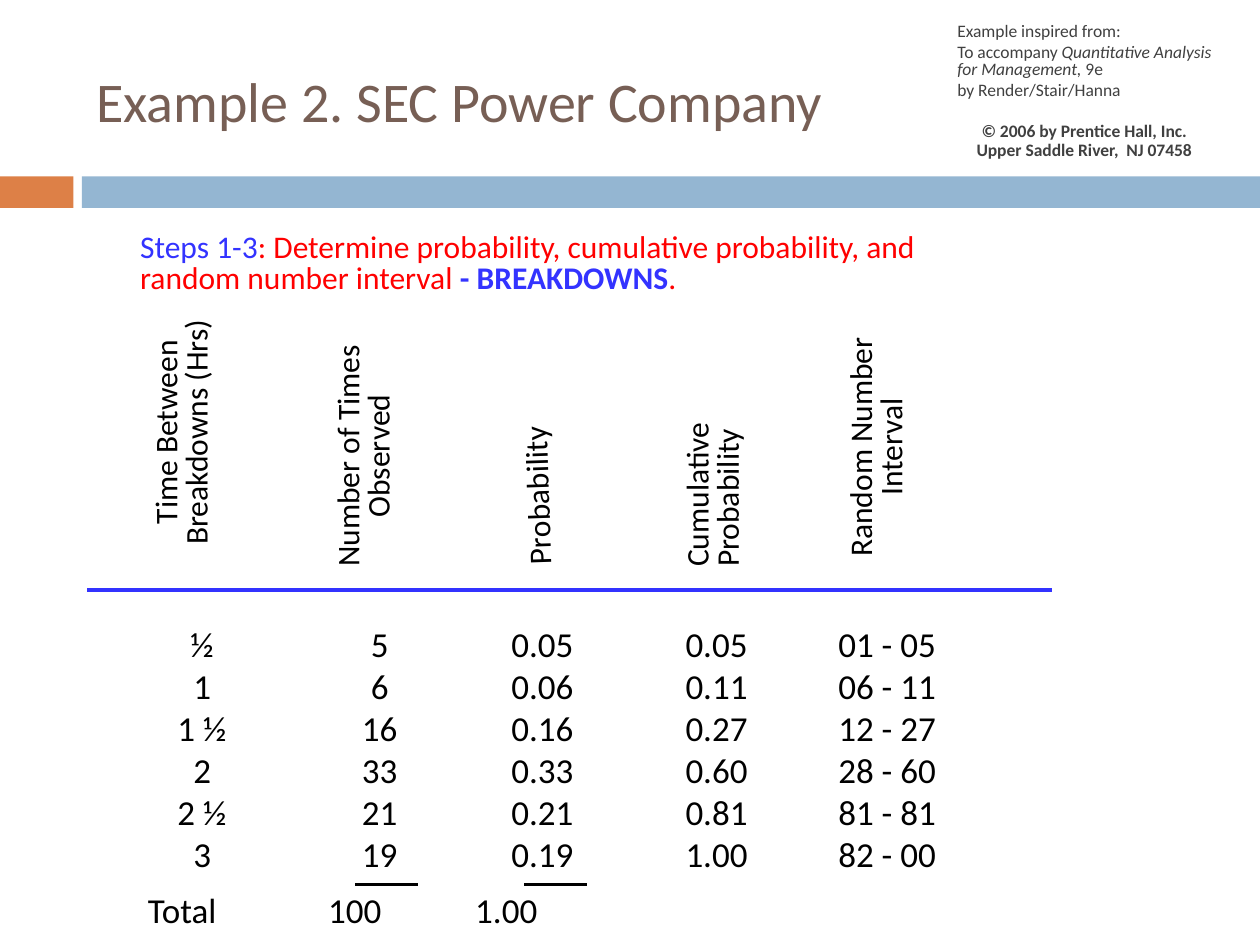
import dataclasses
import itertools

import pptx
import pptx.dml.color
import pptx.enum.shapes
import pptx.enum.text
import pptx.oxml.ns
import pptx.util
from lxml import etree

Pt = pptx.util.Pt
ALIGN = pptx.enum.text.PP_ALIGN
ANCHOR = pptx.enum.text.MSO_ANCHOR


@dataclasses.dataclass(frozen=True)
class Theme:
    font: str = "Calibri"
    orange: str = "DD8047"
    sky: str = "94B6D2"
    brown: str = "775F55"
    gray: str = "404040"
    black: str = "000000"
    blue: str = "3333FF"
    red: str = "FF0000"
    title: int = 32
    cell: int = 20
    body: int = 18
    note: int = 10


class SlideBuilder:
    def __init__(self, slide, theme):
        self.slide = slide
        self.theme = theme

    def color(self, value):
        return pptx.dml.color.RGBColor.from_string(value)

    def bar(self, left, top, width, height, fill):
        shape = self.slide.shapes.add_shape(
            pptx.enum.shapes.MSO_SHAPE.RECTANGLE, Pt(left), Pt(top), Pt(width), Pt(height))
        shape.shadow.inherit = False
        shape.fill.solid()
        shape.fill.fore_color.rgb = self.color(fill)
        shape.line.fill.background()

    def line(self, left, right, y, color, weight):
        connector = self.slide.shapes.add_connector(
            pptx.enum.shapes.MSO_CONNECTOR.STRAIGHT, Pt(left), Pt(y), Pt(right), Pt(y))
        connector.line.color.rgb = self.color(color)
        connector.line.width = Pt(weight)
        etree.SubElement(connector._element.spPr, pptx.oxml.ns.qn("a:effectLst"))

    def paragraph(self, para, runs, size, color, align=ALIGN.LEFT, spacing=0.8, tabs=()):
        if tabs:
            tab_list = etree.SubElement(
                para._p.get_or_add_pPr(), pptx.oxml.ns.qn("a:tabLst"))
            for stop in tabs:
                etree.SubElement(tab_list, pptx.oxml.ns.qn("a:tab"),
                                 pos=str(Pt(stop)), algn="l")
        para.alignment = align
        para.line_spacing = spacing
        for text, style in runs:
            span = para.add_run()
            span.text = text
            span.font.name = self.theme.font
            span.font.size = Pt(size)
            span.font.color.rgb = self.color(style.get("color", color))
            span.font.bold = style.get("bold", False)
            span.font.italic = style.get("italic", False)

    def text(self, frame, paragraphs, size, color, anchor=ANCHOR.TOP,
             rotation=0, gap=0, **layout):
        box = self.slide.shapes.add_textbox(*(Pt(length) for length in frame))
        box.rotation = rotation
        box.text_frame.word_wrap = True
        box.text_frame.vertical_anchor = anchor
        for index, runs in enumerate(paragraphs):
            para = box.text_frame.add_paragraph() if index else box.text_frame.paragraphs[0]
            self.paragraph(para, runs, size, color, **layout)
            if index:
                para.space_before = Pt(gap)

    def table(self, left, top, widths, row_height, rows):
        frame = self.slide.shapes.add_table(
            len(rows), len(widths), Pt(left), Pt(top),
            Pt(sum(widths)), Pt(row_height * len(rows)))
        table = frame.table
        table.first_row = False
        table.horz_banding = False
        for column, width in zip(table.columns, widths):
            column.width = Pt(width)
        for row, values in zip(table.rows, rows):
            row.height = Pt(row_height)
            for cell, value in zip(row.cells, values):
                cell.fill.background()
                cell.margin_left = cell.margin_right = Pt(0)
                cell.margin_top = cell.margin_bottom = Pt(0)
                self.paragraph(cell.text_frame.paragraphs[0], [(value, {})],
                               self.theme.cell, self.theme.black, ALIGN.CENTER)
                for side in ("lnL", "lnR", "lnT", "lnB"):
                    border = etree.Element(pptx.oxml.ns.qn("a:" + side), w="0")
                    etree.SubElement(border, pptx.oxml.ns.qn("a:noFill"))
                    properties = cell._tc.get_or_add_tcPr()
                    properties.insert(len(properties) - 1, border)


def main():
    deck = pptx.Presentation()
    deck.slide_width, deck.slide_height = Pt(720), Pt(540)
    theme = Theme()
    page = SlideBuilder(deck.slides.add_slide(deck.slide_layouts[6]), theme)

    page.bar(0, 100.8, 42, 18, theme.orange)
    page.bar(46.8, 100.8, 673.2, 18, theme.sky)
    page.text((48, 18, 642, 78), [[("Example 2. SEC Power Company", {})]],
              theme.title, theme.brown, ANCHOR.MIDDLE, spacing=1.0)
    page.text((540, 11.5, 171.5, 48), [
        [("Example inspired from:", {})],
        [("To accompany ", {}),
         ("Quantitative Analysis for Management, ", {"italic": True}),
         ("9e", {})],
        [("by Render/Stair/Hanna", {})],
    ], theme.note, theme.gray, ANCHOR.MIDDLE, gap=2.5)
    page.text((534, 67.5, 171, 28), [
        [("© 2006 by Prentice Hall, Inc.", {"bold": True})],
        [("Upper Saddle River,  NJ 07458", {"bold": True})],
    ], theme.note, theme.gray, ANCHOR.MIDDLE, gap=2.5, align=ALIGN.CENTER, spacing=0.7)

    page.text((73, 130.5, 481, 59), [[
        ("Steps 1-3", {"color": theme.blue}),
        (": Determine probability, cumulative probability, and random number interval ", {}),
        ("- BREAKDOWNS", {"color": theme.blue, "bold": True}),
        (".", {}),
    ]], theme.body, theme.red)

    headings = [
        ("Time Between Breakdowns (Hrs)", (21, 226, 168, 42), 270, ALIGN.CENTER),
        ("Number of Times Observed", (147, 231, 141, 59), 270, ALIGN.CENTER),
        ("Probability", (255, 264, 107, 24.5), 268.1, ALIGN.LEFT),
        ("Cumulative Probability", (374.5, 242, 102, 76), 270, ALIGN.LEFT),
        ("Random Number Interval", (435.5, 226, 150, 59), 270, ALIGN.CENTER),
    ]
    for heading, frame, rotation, align in headings:
        page.text(frame, [[(heading, {})]], theme.body, theme.black,
                  rotation=rotation, align=align)

    page.line(50, 601, 337, theme.blue, 2.25)
    edges = [65, 166, 268, 352, 467, 547]
    widths = [right - left for left, right in itertools.pairwise(edges)]
    page.table(edges[0], 360, widths, 24, [
        ("½", "5", "0.05", "0.05", "01 - 05"),
        ("1", "6", "0.06", "0.11", "06 - 11"),
        ("1 ½", "16", "0.16", "0.27", "12 - 27"),
        ("2", "33", "0.33", "0.60", "28 - 60"),
        ("2 ½", "21", "0.21", "0.81", "81 - 81"),
        ("3", "19", "0.19", "1.00", "82 - 00"),
    ])
    for left in (203, 299.5):
        page.line(left, left + 36, 505.5, theme.black, 1.5)
    page.text((77.5, 509, 271, 27), [[("Total\t100\t1.00", {})]],
              theme.cell, theme.black, tabs=(103, 187))

    deck.save("out.pptx")


if __name__ == "__main__":
    main()
